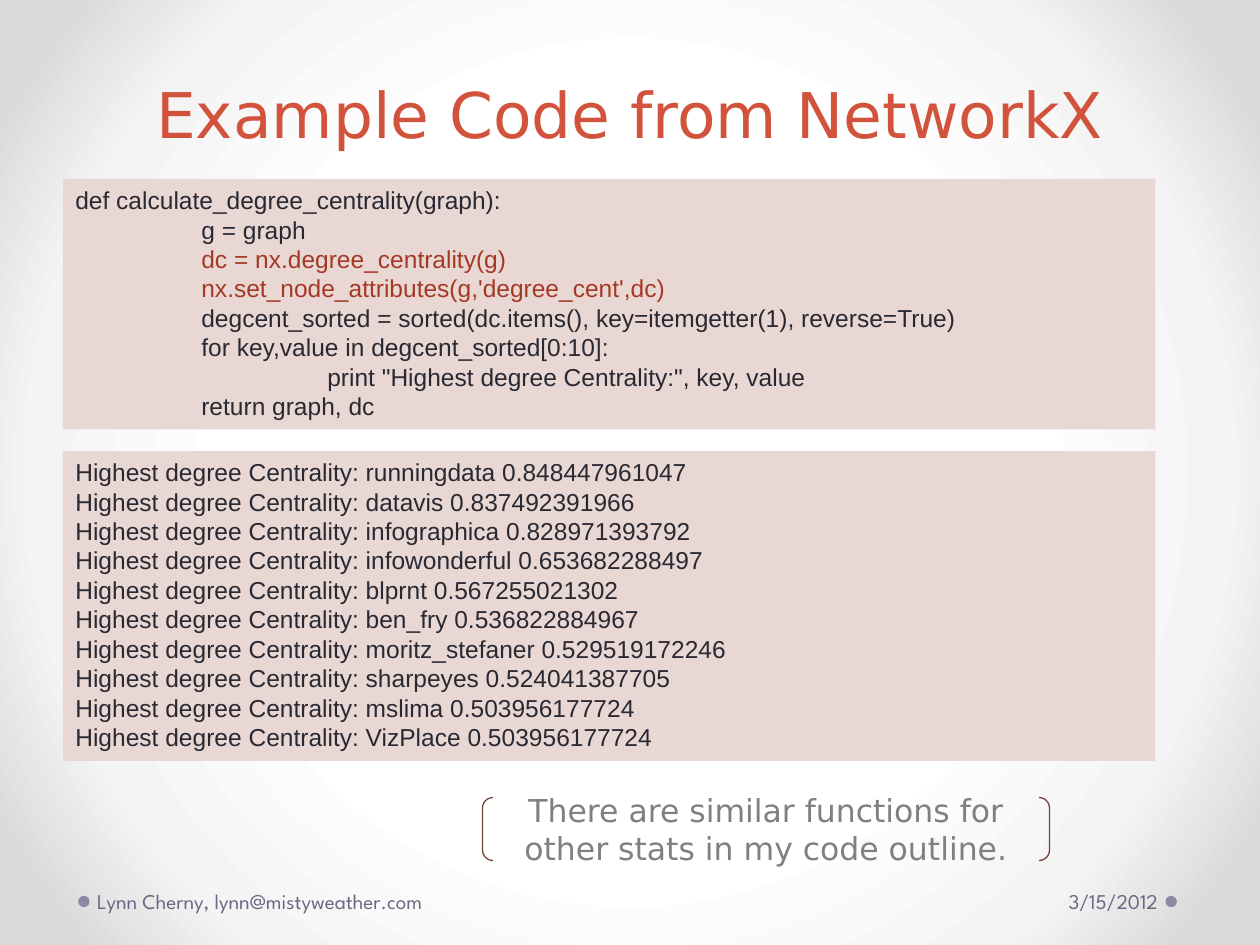
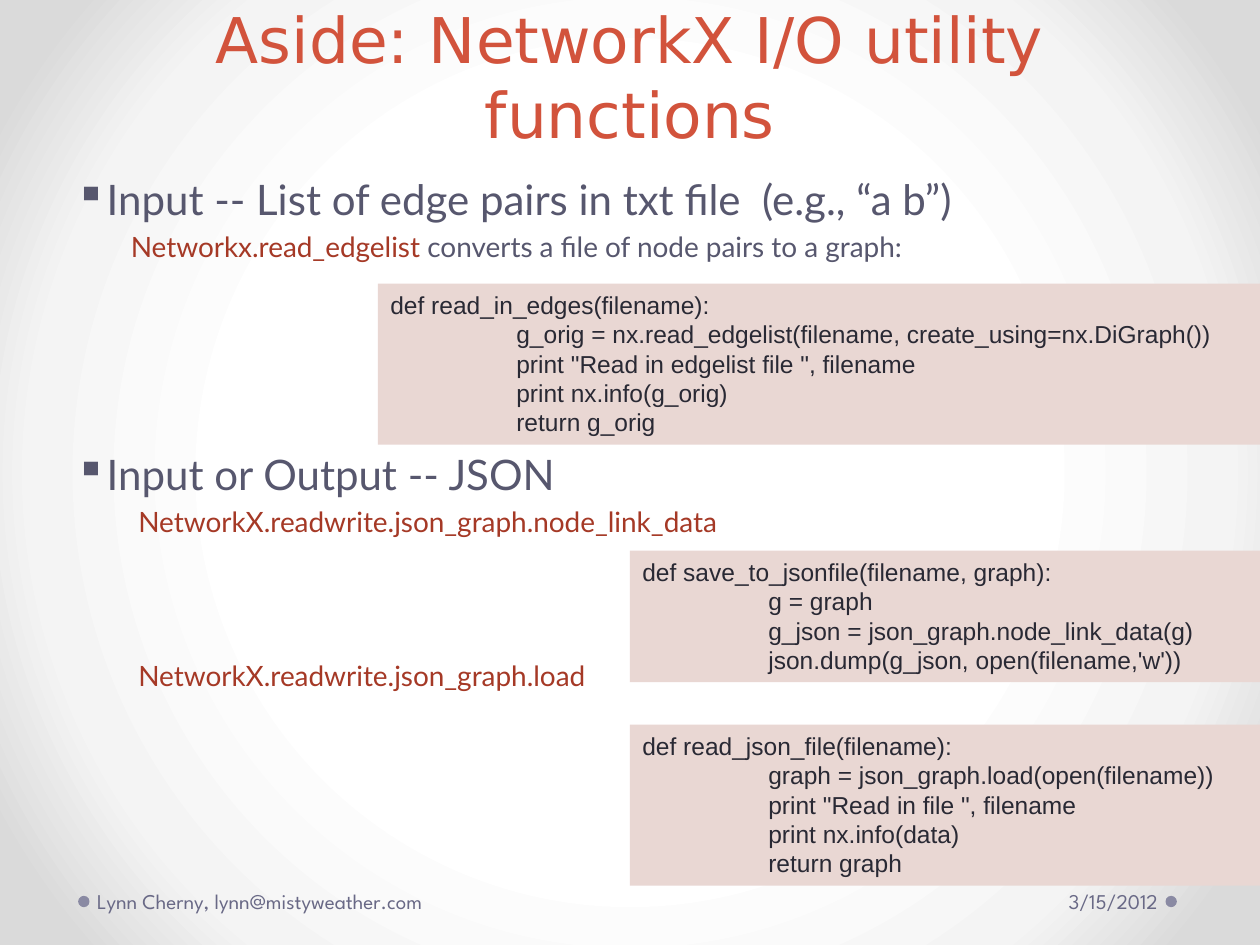
from pptx import Presentation
from pptx import util as u
from pptx.dml.color import RGBColor
from pptx.enum import shapes, text
from pptx.oxml import parse_xml
from pptx.oxml.ns import nsdecls, qn

TITLE_RED = RGBColor(0xD2, 0x53, 0x3C)
ACCENT = RGBColor(0xA5, 0x39, 0x26)
INK = RGBColor(0x29, 0x29, 0x34)
SLATE = RGBColor(0x57, 0x57, 0x6E)
FOOTER = RGBColor(0x69, 0x69, 0x86)
DOT = RGBColor(0x8A, 0x8A, 0xA3)
PANEL = RGBColor(0xE9, 0xD7, 0xD3)
BRACKET = RGBColor(0x78, 0x43, 0x3A)
GREY = RGBColor(0x80, 0x80, 0x80)
GLOW = ((50, "FFFFFF"), (76, "F4F4F4"), (92, "DADADA"))

COLS, ROWS = 20, 15
LEFT, CENTER, RIGHT = text.PP_ALIGN.LEFT, text.PP_ALIGN.CENTER, text.PP_ALIGN.RIGHT
TOP, MIDDLE, BOTTOM = text.MSO_ANCHOR.TOP, text.MSO_ANCHOR.MIDDLE, text.MSO_ANCHOR.BOTTOM

STYLES = {
    "title": dict(name="DejaVu Sans", size=u.Pt(36)),
    "head": dict(name="Lato", size=u.Pt(24)),
    "sub": dict(name="Lato", size=u.Pt(16)),
    "code": dict(name="Arial", size=u.Pt(14)),
    "note": dict(name="DejaVu Sans", size=u.Pt(18)),
    "footer": dict(name="League Spartan", size=u.Pt(12)),
}


class Deck:
    """Hold the shared style and the current slide, placed on a 20 by 15 grid."""

    def __init__(self):
        self.prs = Presentation()
        self.prs.slide_width, self.prs.slide_height = u.Inches(10), u.Inches(7.5)

    def box(self, col, row, cols, rows):
        w, h = self.prs.slide_width / COLS, self.prs.slide_height / ROWS
        return [round(v) for v in (col * w, row * h, cols * w, rows * h)]

    def slide(self, title):
        self.s = self.prs.slides.add_slide(self.prs.slide_layouts[6])
        self.background()
        for col in (18.5, 1.24):
            self.shape(shapes.MSO_SHAPE.OVAL, (col, 14.22, 0.18, 0.18), DOT)
        tf = self.textbox((1, 0, 18, 2.5), vertical_anchor=BOTTOM)
        self.para(tf, "title", [(title, TITLE_RED)], CENTER)
        edge = u.Inches(0.05)
        tf = self.textbox((13.92, 13.9, 4.56, 0.8), vertical_anchor=MIDDLE, margin_right=edge)
        self.para(tf, "footer", [("3/15/2012", FOOTER)], RIGHT)
        tf = self.textbox((1.44, 13.9, 6.22, 0.8), vertical_anchor=MIDDLE, margin_left=edge)
        self.para(tf, "footer", [("Lynn Cherny, lynn@mistyweather.com", FOOTER)])

    def background(self):
        self.s.background.fill.gradient()
        old = self.s.element.find(".//" + qn("a:gradFill"))
        stops = "".join(f'<a:gs pos="{pos * 1000}"><a:srgbClr val="{rgb}"/></a:gs>' for pos, rgb in GLOW)
        old.getparent().replace(old, parse_xml(
            f'<a:gradFill {nsdecls("a")} rotWithShape="1"><a:gsLst>{stops}</a:gsLst><a:path path="circle">'
            '<a:fillToRect l="50000" t="50000" r="50000" b="50000"/></a:path></a:gradFill>'))

    def shape(self, kind, box, fill=None, line=None):
        sp = self.s.shapes.add_shape(kind, *self.box(*box))
        sp.shadow.inherit = False
        for fmt, color in ((sp.fill, fill), (sp.line.fill, line)):
            if color is None:
                fmt.background()
            else:
                fmt.solid()
                fmt.fore_color.rgb = color
        return sp

    def textbox(self, box, **frame):
        tf = self.s.shapes.add_textbox(*self.box(*box)).text_frame
        for key, value in dict(word_wrap=True, **frame).items():
            setattr(tf, key, value)
        return tf

    def para(self, tf, style, runs, align=LEFT, margin=0, before=0, bullet=None):
        p = tf.paragraphs[0]
        if p.runs:
            p = tf.add_paragraph()
        p.alignment, p.space_before = align, u.Pt(before)
        pPr = p._p.get_or_add_pPr()
        pPr.set("marL", str(u.Inches(margin)))
        pPr.set("indent", str(-u.Inches(margin) if bullet else 0))
        if bullet:
            pPr.append(parse_xml(f'<a:buChar {nsdecls("a")} char="{bullet}"/>'))
        for content, color in runs:
            r = p.add_run()
            r.text = content
            for key, value in STYLES[style].items():
                setattr(r.font, key, value)
            r.font.color.rgb = color

    def code(self, col, row, cols, lines, accents=()):
        height = 0.2 + 0.472 * len(lines)
        tf = self.shape(shapes.MSO_SHAPE.RECTANGLE, (col, row, cols, height), PANEL).text_frame
        tf.vertical_anchor, tf.auto_size = TOP, text.MSO_AUTO_SIZE.SHAPE_TO_FIT_TEXT
        for i, (level, line) in enumerate(lines):
            self.para(tf, "code", [(line, ACCENT if i in accents else INK)], margin=level)

    def topic(self, row, heading, runs, margin):
        tf = self.textbox((1, row, 18, 1.8))
        self.para(tf, "head", [(heading, SLATE)], margin=0.21, bullet="▪")
        self.para(tf, "sub", runs, margin=margin, before=3.2)

    def note(self, box, content):
        sp = self.shape(shapes.MSO_SHAPE.DOUBLE_BRACKET, box, line=BRACKET)
        sp.line.width = u.Pt(0.75)
        sp.text_frame.vertical_anchor = MIDDLE
        self.para(sp.text_frame, "note", [(content, GREY)], CENTER)


def centrality_slide(deck):
    """Show the degree centrality function and its ranking."""
    deck.slide("Example Code from NetworkX")
    deck.code(1, 2.84, 17.34, [
        (0, "def calculate_degree_centrality(graph):"),
        (1, "g = graph"),
        (1, "dc = nx.degree_centrality(g)"),
        (1, "nx.set_node_attributes(g,'degree_cent',dc)"),
        (1, "degcent_sorted = sorted(dc.items(), key=itemgetter(1), reverse=True)"),
        (1, "for key,value in degcent_sorted[0:10]:"),
        (2, 'print "Highest degree Centrality:", key, value'),
        (1, "return graph, dc"),
    ], accents=(2, 3))
    ranking = [
        ("runningdata", "0.848447961047"), ("datavis", "0.837492391966"),
        ("infographica", "0.828971393792"), ("infowonderful", "0.653682288497"),
        ("blprnt", "0.567255021302"), ("ben_fry", "0.536822884967"),
        ("moritz_stefaner", "0.529519172246"), ("sharpeyes", "0.524041387705"),
        ("mslima", "0.503956177724"), ("VizPlace", "0.503956177724"),
    ]
    deck.code(1, 7.16, 17.34, [(0, f"Highest degree Centrality: {who} {score}") for who, score in ranking])
    deck.note((7.66, 12.66, 9, 1), "There are similar functions for other stats in my code outline.")


def io_slide(deck):
    """Show the functions that read and write graphs."""
    deck.slide("Aside: NetworkX I/O utility functions")
    deck.topic(2.66, "Input -- List of edge pairs in txt file  (e.g., “a b”)", [
        ("Networkx.read_edgelist", ACCENT), (" converts a file of node pairs to a graph:", SLATE)], 0.44)
    deck.topic(7.02, "Input or Output -- JSON", [("NetworkX.readwrite.json_graph.node_link_data", ACCENT)], 0.5)
    tf = deck.textbox((1, 10.36, 8.6, 0.74))
    deck.para(tf, "sub", [("NetworkX.readwrite.json_graph.load", ACCENT)], margin=0.5)
    deck.code(6, 4.5, 14, [
        (0, "def read_in_edges(filename):"),
        (1, "g_orig = nx.read_edgelist(filename, create_using=nx.DiGraph())"),
        (1, 'print "Read in edgelist file ", filename'),
        (1, "print nx.info(g_orig)"),
        (1, "return g_orig"),
    ])
    deck.code(10, 8.74, 10, [
        (0, "def save_to_jsonfile(filename, graph):"),
        (1, "g = graph"),
        (1, "g_json = json_graph.node_link_data(g)"),
        (1, "json.dump(g_json, open(filename,'w'))"),
    ])
    deck.code(10, 11.5, 10, [
        (0, "def read_json_file(filename):"),
        (1, "graph = json_graph.load(open(filename))"),
        (1, 'print "Read in file ", filename'),
        (1, "print nx.info(data)"),
        (1, "return graph"),
    ])


def main():
    """Build both slides and save them."""
    deck = Deck()
    centrality_slide(deck)
    io_slide(deck)
    deck.prs.save("out.pptx")


if __name__ == "__main__":
    main()
